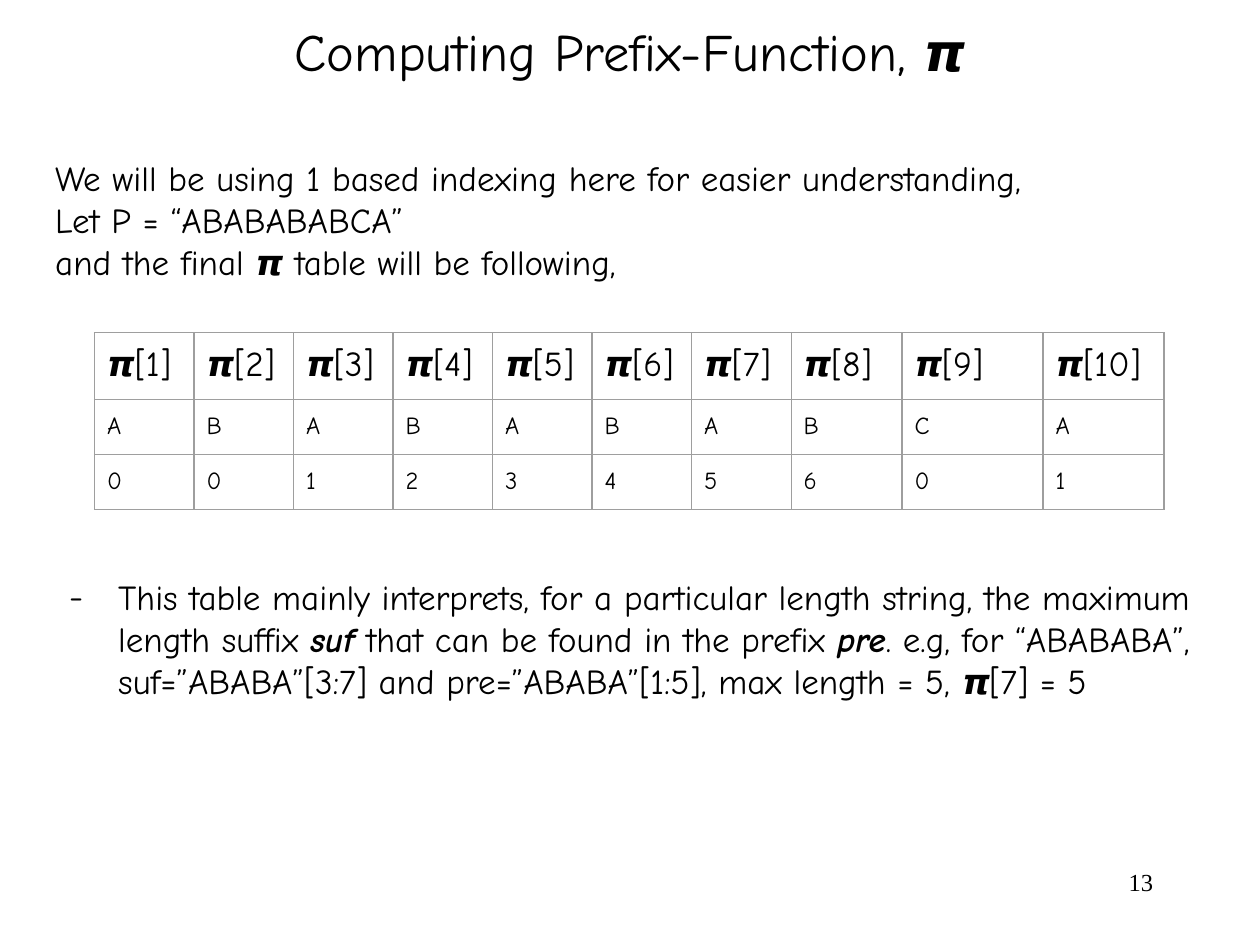
import dataclasses

import pptx
import pptx.dml.color
import pptx.enum.text
import pptx.oxml
import pptx.oxml.ns
import pptx.util

Inches = pptx.util.Inches
Pt = pptx.util.Pt
Align = pptx.enum.text.PP_ALIGN
Anchor = pptx.enum.text.MSO_ANCHOR


@dataclasses.dataclass(frozen=True)
class Theme:
    font: str = "Comic Neue"
    number_font: str = "Times New Roman"
    ink: str = "000000"
    grid: str = "9E9E9E"
    title: int = 30
    body: int = 20
    small: int = 14
    border: float = 0.75


THEME = Theme()
PATTERN = "ABABABABCA"
PI_VALUES = [0, 0, 1, 2, 3, 4, 5, 6, 0, 1]
COLUMN_WIDTHS = [0.79] * 7 + [0.88, 1.12, 0.96]
ROW_HEIGHTS = [0.53, 0.43, 0.43]
INTRO = [
    "We will be using 1 based indexing here for easier understanding,",
    "Let P = “ABABABABCA”",
    "and the final 𝞹 table will be following,",
]
EMPHASIS = {"bold": True, "italic": True}
EXPLANATION = [
    ("This table mainly interprets, for a particular length string, "
     "the maximum length suffix ", {}),
    ("suf", EMPHASIS),
    (" that can be found in the prefix ", {}),
    ("pre", EMPHASIS),
    (". e.g, for “ABABABA”, suf=”ABABA”[3:7] and pre=”ABABA”[1:5], "
     "max length = 5, 𝞹[7] = 5", {}),
]


def set_attributes(target, values):
    for name, value in values.items():
        setattr(target, name, value)


def add_xml(parent, xml, index=None):
    tag, rest = xml.split(" ", 1)
    element = pptx.oxml.parse_xml(f"{tag} {pptx.oxml.ns.nsdecls('a')} {rest}")
    parent.insert(len(parent) if index is None else index, element)


def write_runs(p, runs, size, font=THEME.font):
    """Fill a paragraph from (text, extra font values) pairs."""
    for text, extra in runs:
        r = p.add_run()
        r.text = text
        set_attributes(r.font, {"name": font, "size": Pt(size), **extra})
        r.font.color.rgb = pptx.dml.color.RGBColor.from_string(THEME.ink)


def add_text(slide, box, paragraphs, size, font=THEME.font, align=Align.LEFT,
             anchor=Anchor.TOP, inset=0.1):
    """Add a text box and return its paragraphs."""
    tf = slide.shapes.add_textbox(*map(Inches, box)).text_frame
    set_attributes(tf, {
        "word_wrap": True, "vertical_anchor": anchor,
        "margin_top": Inches(inset), "margin_bottom": Inches(inset),
    })
    for i, runs in enumerate(paragraphs):
        p = tf.add_paragraph() if i else tf.paragraphs[0]
        p.alignment = align
        write_runs(p, runs, size, font)
    return tf.paragraphs


def add_dash(p):
    pPr = p._p.get_or_add_pPr()
    pPr.set("marL", str(Inches(0.5)))
    pPr.set("indent", str(Inches(-0.39)))
    add_xml(pPr, f'<a:buClr ><a:srgbClr val="{THEME.ink}"/></a:buClr>')
    add_xml(pPr, f'<a:buFont typeface="{THEME.font}"/>')
    add_xml(pPr, '<a:buChar char="-"/>')


def style_cell(cell):
    cell.fill.background()
    margins = ("margin_left", "margin_top", "margin_right", "margin_bottom")
    set_attributes(cell, dict.fromkeys(margins, Inches(0.1)))
    tcPr = cell._tc.get_or_add_tcPr()
    for i, side in enumerate("LRTB"):
        add_xml(tcPr, f'<a:ln{side} w="{Pt(THEME.border)}"><a:solidFill>'
                      f'<a:srgbClr val="{THEME.grid}"/></a:solidFill></a:ln{side}>', i)


def add_prefix_table(slide):
    rows = [
        [f"𝞹[{i}]" for i in range(1, len(PATTERN) + 1)],
        list(PATTERN),
        [str(value) for value in PI_VALUES],
    ]
    sizes = [THEME.body, THEME.small, THEME.small]
    table = slide.shapes.add_table(
        len(rows), len(PATTERN), Inches(0.75), Inches(2.64),
        Inches(sum(COLUMN_WIDTHS)), Inches(sum(ROW_HEIGHTS))).table
    set_attributes(table, {"first_row": False, "horz_banding": False})
    for column, width in zip(table.columns, COLUMN_WIDTHS):
        column.width = Inches(width)
    for row, height, texts, size in zip(table.rows, ROW_HEIGHTS, rows, sizes):
        row.height = Inches(height)
        for cell, text in zip(row.cells, texts):
            style_cell(cell)
            write_runs(cell.text_frame.paragraphs[0], [(text, {})], size)


def main():
    prs = pptx.Presentation()
    set_attributes(prs, {"slide_width": Inches(10), "slide_height": Inches(7.5)})
    slide = prs.slides.add_slide(prs.slide_layouts[6])

    add_text(slide, (7.17, 6.83, 2.08, 0.5), [[("13", {})]], THEME.small,
             font=THEME.number_font, align=Align.RIGHT, inset=0.05)
    add_text(slide, (0.75, 0.05, 8.5, 0.7), [[("Computing Prefix-Function, 𝞹", {})]],
             THEME.title, align=Align.CENTER, anchor=Anchor.MIDDLE, inset=0.05)
    add_text(slide, (0.34, 1.14, 9.36, 1.2), [[(line, {})] for line in INTRO],
             THEME.body)
    add_prefix_table(slide)
    explanation = add_text(slide, (0.34, 4.47, 9.36, 1.2), [EXPLANATION], THEME.body)
    add_dash(explanation[0])

    prs.save("out.pptx")


if __name__ == "__main__":
    main()
